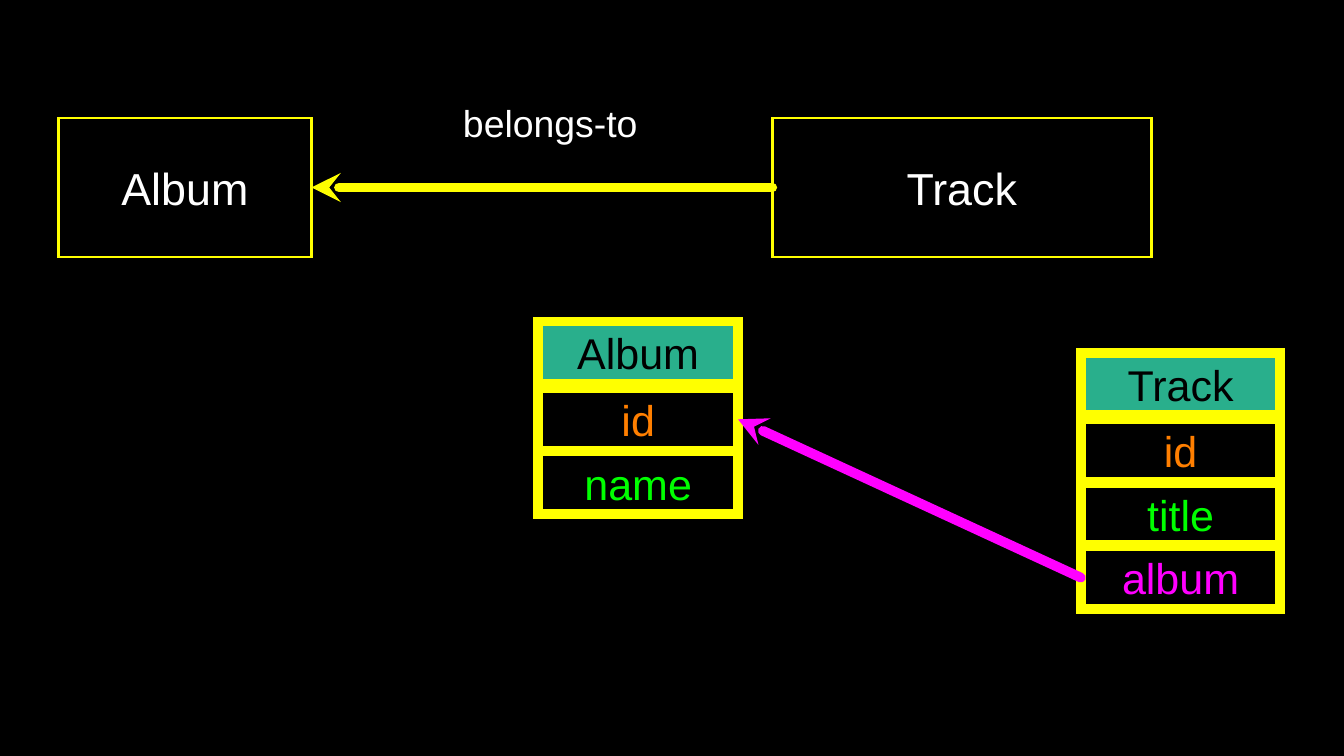
from lxml.etree import SubElement
from pptx import Presentation
from pptx.dml.color import RGBColor
from pptx.enum.shapes import MSO_CONNECTOR, MSO_SHAPE
from pptx.enum.text import MSO_ANCHOR, PP_ALIGN
from pptx.oxml.ns import qn
from pptx.util import Inches, Pt

BLACK = RGBColor(0x00, 0x00, 0x00)
WHITE = RGBColor(0xFF, 0xFF, 0xFF)
YELLOW = RGBColor(0xFF, 0xFF, 0x00)
TEAL = RGBColor(0x29, 0xAF, 0x8C)
ORANGE = RGBColor(0xFF, 0x7F, 0x00)
GREEN = RGBColor(0x00, 0xFF, 0x00)
PINK = RGBColor(0xFF, 0x00, 0xFF)


class Deck:
    """Draws on one slide, with lengths in percent of its width and height."""

    font = "Arial"
    thin, thick = Pt(2), Pt(7)
    cell_wide, cell_high = 14.85, 8.27
    head_step, row_step = 8.8, 8.4

    def __init__(self):
        self.show = Presentation()
        self.show.slide_width = Inches(13.33)
        self.show.slide_height = Inches(7.5)
        self.slide = self.show.slides.add_slide(self.show.slide_layouts[6])
        fill = self.slide.background.fill
        fill.solid()
        fill.fore_color.rgb = BLACK

    def area(self, left, top, wide, high):
        across, down = self.show.slide_width / 100, self.show.slide_height / 100
        return (round(left * across), round(top * down),
                round(wide * across), round(high * down))

    def stroke(self, shape, color, width):
        shape.line.color.rgb = color
        shape.line.width = width
        return shape.element.spPr.find(qn("a:ln"))

    def letter(self, shape, text, size, color):
        frame = shape.text_frame
        frame.margin_left = frame.margin_right = 0
        frame.margin_top = frame.margin_bottom = 0
        frame.vertical_anchor = MSO_ANCHOR.MIDDLE
        frame.word_wrap = True
        frame.text = text
        line = frame.paragraphs[0]
        line.alignment = PP_ALIGN.CENTER
        font = line.runs[0].font
        font.name, font.size = self.font, Pt(size)
        font.color.rgb = color

    def label(self, text, size, *place):
        box = self.slide.shapes.add_textbox(*self.area(*place))
        self.letter(box, text, size, WHITE)

    def box(self, text, size, color, width, *place, fill=None):
        shape = self.slide.shapes.add_shape(MSO_SHAPE.RECTANGLE, *self.area(*place))
        shape.shadow.inherit = False
        if fill is None:
            shape.fill.background()
        else:
            shape.fill.solid()
            shape.fill.fore_color.rgb = fill
        SubElement(self.stroke(shape, YELLOW, width), qn("a:miter"), lim="800000")
        self.letter(shape, text, size, color)
        return shape

    def model(self, text, left, wide):
        return self.box(text, 32, WHITE, self.thin, left, 15.6, wide, 18.4)

    def table(self, title, left, top, fields):
        size = self.cell_wide, self.cell_high
        self.box(title, 30.7, BLACK, self.thick, left, top, *size, fill=TEAL)
        first = top + self.head_step
        return [
            self.box(name, 30.7, color, self.thick,
                     left, first + row * self.row_step, *size)
            for row, (name, color) in enumerate(fields)
        ]

    def arrow(self, target, source, color):
        link = self.slide.shapes.add_connector(MSO_CONNECTOR.STRAIGHT, 0, 0, 0, 0)
        link.begin_connect(target, 3)
        link.end_connect(source, 1)
        line = self.stroke(link, color, self.thick)
        line.set("cap", "rnd")
        SubElement(line, qn("a:round"))
        SubElement(line, qn("a:headEnd"), type="stealth")
        SubElement(link.element.spPr, qn("a:effectLst"))


def main():
    deck = Deck()
    album = deck.model("Album", 4.35, 18.83)
    track = deck.model("Track", 57.46, 28.21)
    deck.arrow(album, track, YELLOW)
    deck.label("belongs-to", 26.7, 33.16, 12.8, 15.6, 6.8)

    key, *_ = deck.table("Album", 40.06, 42.53, [("id", ORANGE), ("name", GREEN)])
    *_, ref = deck.table("Track", 80.42, 46.67,
                         [("id", ORANGE), ("title", GREEN), ("album", PINK)])
    deck.arrow(key, ref, PINK)
    deck.show.save("out.pptx")


if __name__ == "__main__":
    main()
